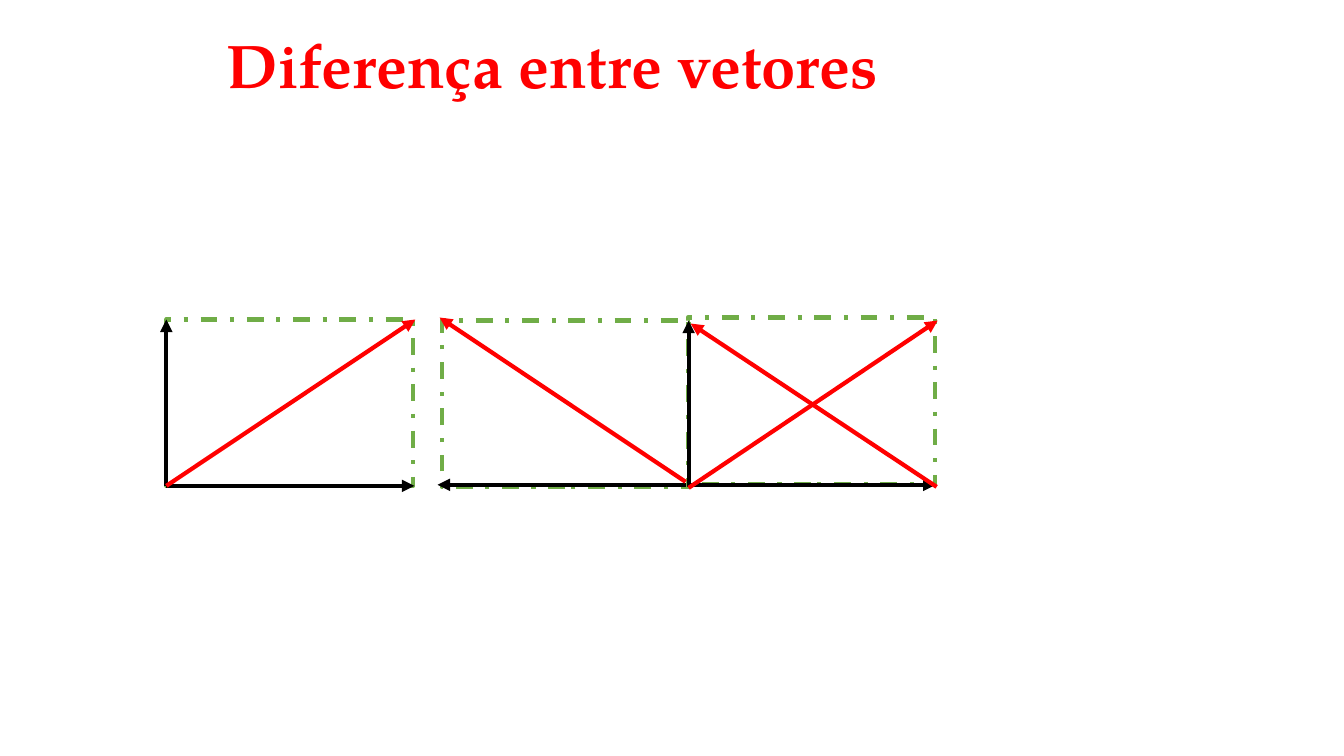
from dataclasses import dataclass
from lxml.etree import SubElement
from pptx import Presentation
from pptx.dml.color import RGBColor
from pptx.enum.dml import MSO_LINE
from pptx.enum.shapes import MSO_CONNECTOR, MSO_SHAPE
from pptx.enum.text import MSO_ANCHOR, PP_ALIGN
from pptx.oxml.ns import qn
from pptx.util import Emu, Pt


@dataclass(frozen=True)
class Theme:
    font: str = "TeX Gyre Pagella"
    title: int = 44
    line: int = 3
    red: str = "FF0000"
    green: str = "70AD47"
    black: str = "000000"
    white: str = "FFFFFF"


def px(*nums):
    """Turn px (100 to the inch) into EMU."""
    return [Emu(n * 9144) for n in nums]


class Canvas:
    def __init__(self, slide, theme):
        self.slide = slide
        self.theme = theme

    def title(self, text, *area):
        box = self.slide.shapes.title
        box.left, box.top, box.width, box.height = px(*area)
        frame = box.text_frame
        frame.text = text
        frame.vertical_anchor = MSO_ANCHOR.MIDDLE
        para = frame.paragraphs[0]
        para.alignment = PP_ALIGN.LEFT
        para.line_spacing = 0.9
        font = para.runs[0].font
        font.name = self.theme.font
        font.size = Pt(self.theme.title)
        font.bold = True
        font.color.rgb = RGBColor.from_string(self.theme.red)

    def frame(self, left, top, width, height):
        box = self.slide.shapes.add_shape(
            MSO_SHAPE.RECTANGLE, *px(left, top, width, height))
        box.shadow.inherit = False
        box.fill.solid()
        box.fill.fore_color.rgb = RGBColor.from_string(self.theme.white)
        self.stroke(box.line, self.theme.green)
        box.line.dash_style = MSO_LINE.DASH_DOT

    def arrow(self, start, end, color):
        link = self.slide.shapes.add_connector(
            MSO_CONNECTOR.STRAIGHT, *px(*start, *end))
        self.stroke(link.line, color)
        SubElement(link.line._get_or_add_ln(), qn("a:tailEnd"), type="triangle")
        SubElement(link._element.spPr, qn("a:effectLst"))

    def stroke(self, line, color):
        line.color.rgb = RGBColor.from_string(color)
        line.width = Pt(self.theme.line)


def main():
    deck = Presentation()
    deck.slide_width, deck.slide_height = px(1333, 750)
    theme = Theme()
    page = Canvas(deck.slides.add_slide(deck.slide_layouts[5]), theme)

    # Title
    page.title("Diferença entre vetores", 215, 6, 900, 125)

    # Dashed parallelogram frames
    for left, top in ((682, 315), (438, 318), (165, 317)):
        page.frame(left, top, 245, 165)

    # Component vectors
    for start, end in (
        ((165, 482), (411, 482)),
        ((165, 482), (165, 317)),
        ((680, 481), (434, 481)),
        ((683, 481), (928, 481)),
        ((683, 483), (683, 318)),
    ):
        page.arrow(start, end, theme.black)

    # Sum and difference vectors
    for start, end in (
        ((165, 482), (412, 317)),
        ((929, 483), (685, 321)),
        ((683, 484), (930, 318)),
        ((680, 478), (436, 315)),
    ):
        page.arrow(start, end, theme.red)

    deck.save("out.pptx")


if __name__ == "__main__":
    main()
